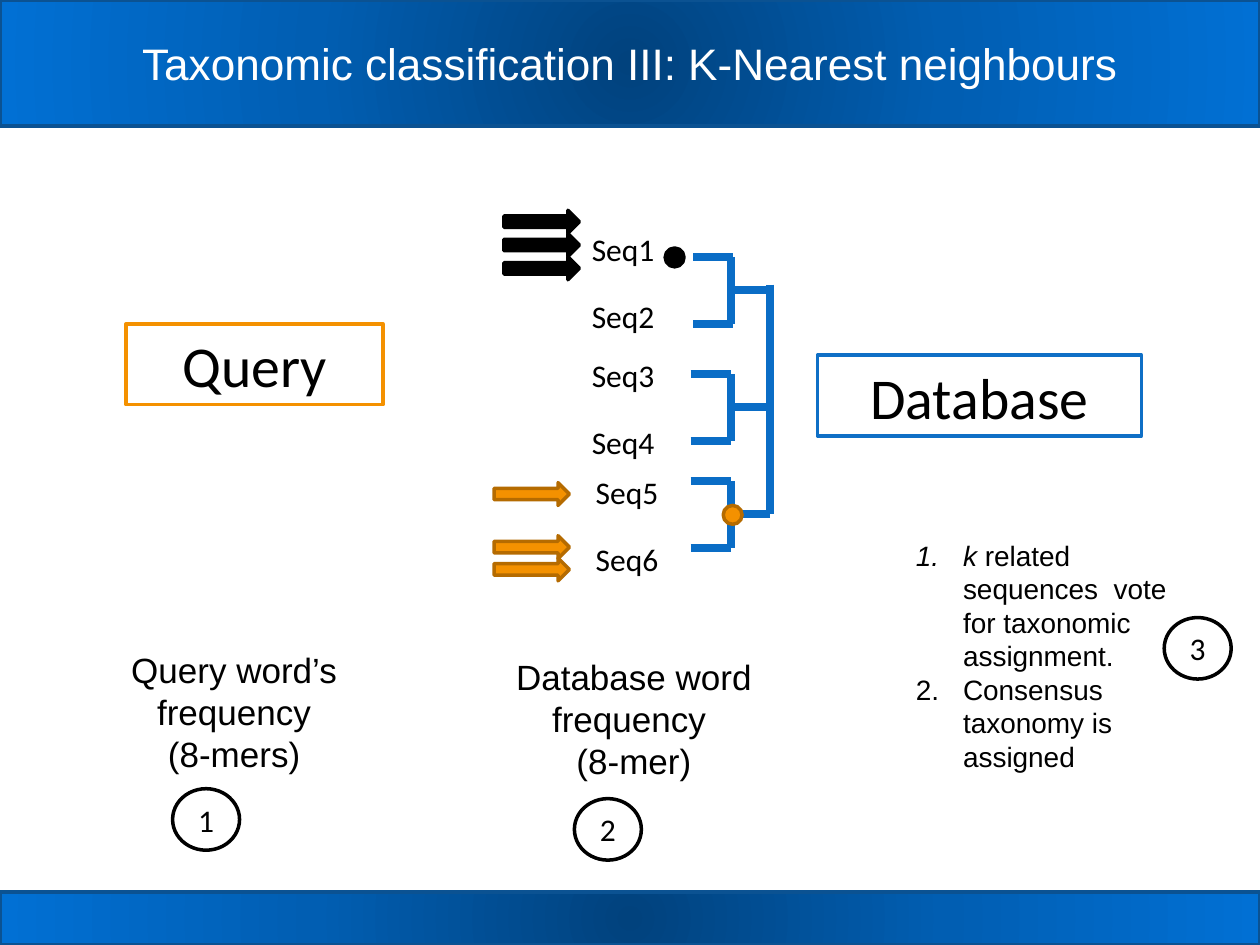
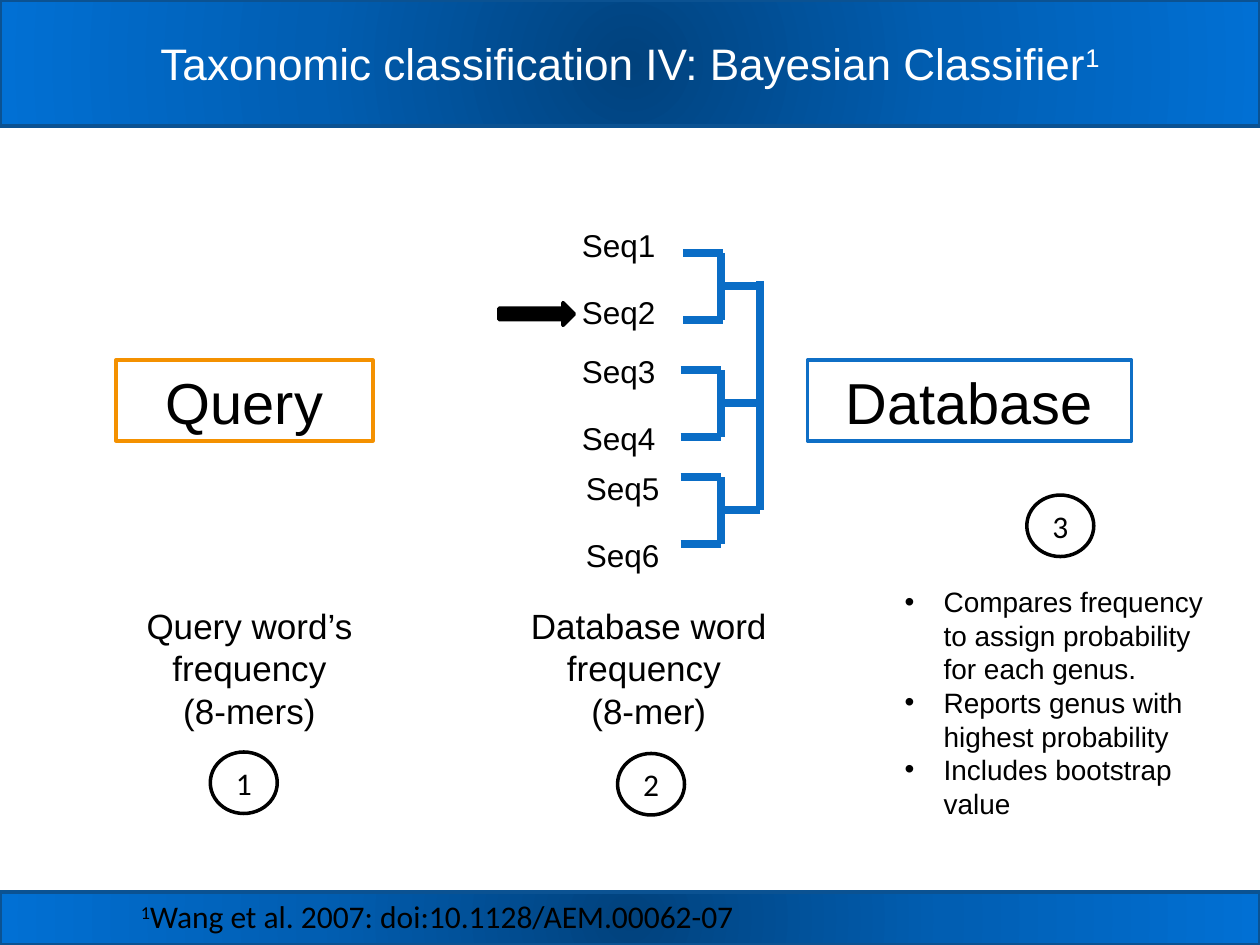
import dataclasses
import typing

import lxml.etree
import pptx
import pptx.dml.color
import pptx.enum.shapes
import pptx.enum.text
import pptx.oxml.ns
import pptx.util

Cm = pptx.util.Cm
Pt = pptx.util.Pt
RGBColor = pptx.dml.color.RGBColor
Kind = pptx.enum.shapes.MSO_SHAPE
Align = pptx.enum.text.PP_ALIGN
Anchor = pptx.enum.text.MSO_ANCHOR
qn = pptx.oxml.ns.qn

BLACK = RGBColor(0x00, 0x00, 0x00)
WHITE = RGBColor(0xFF, 0xFF, 0xFF)
ORANGE = RGBColor(0xF4, 0x91, 0x00)
RUST = RGBColor(0xB5, 0x6B, 0x00)
BLUE = RGBColor(0x0F, 0x6F, 0xC6)
BRANCH = RGBColor(0x0A, 0x6D, 0xC6)
EDGE = RGBColor(0x0B, 0x52, 0x92)
GLOW = ((0, "01427D"), (50, "015EB2"), (100, "0170D4"))


@dataclasses.dataclass(frozen=True)
class Box:
    left: float
    top: float
    width: float
    height: float

    def place(self) -> tuple:
        return Cm(self.left), Cm(self.top), Cm(self.width), Cm(self.height)


@dataclasses.dataclass(frozen=True)
class Look:
    size: float
    face: str = "Arial"
    color: RGBColor = BLACK
    align: typing.Any = Align.CENTER


class Span(typing.NamedTuple):
    text: str
    slant: bool = False
    raised: bool = False


class Fork(typing.NamedTuple):
    tip: float
    top: float
    end: float
    label_x: float
    label_y: float


class Arrow(typing.NamedTuple):
    left: float
    top: float
    fill: RGBColor = BLACK
    line: RGBColor = BLACK


class Spot(typing.NamedTuple):
    left: float
    top: float


class List(typing.NamedTuple):
    box: Box
    items: list
    indent: float
    mark: str
    value: tuple


@dataclasses.dataclass(frozen=True)
class Page:
    title: list
    face: str
    shift: Spot
    query: Spot
    data: Spot
    words: tuple
    steps: tuple
    arrows: list
    dots: list
    points: List
    note: list


FORKS = (
    Fork(13.97, 5.18, 14.78, 11.68, 4.52),
    Fork(13.92, 7.54, 14.73, 11.68, 7.06),
    Fork(13.92, 9.7, 14.73, 11.76, 9.42),
)
STEM, TRUNK, SPREAD, HALF = 14.73, 15.52, 1.35, 0.66
WORDS = (
    [[Span("Query word’s frequency")], [Span("(8-mers)")]],
    [[Span("Database word frequency ")], [Span("(8-mer)")]],
)

PAGES = (
    Page(
        title=[Span("Taxonomic classification III: K-Nearest neighbours")],
        face="Calibri",
        shift=Spot(0, 0),
        query=Spot(2.54, 6.53),
        data=Spot(16.48, 7.16),
        words=(Spot(1.9, 12.95), Spot(9.96, 13.08)),
        steps=(Spot(3.48, 15.9), Spot(11.58, 16.1), Spot(23.47, 12.45)),
        arrows=[Arrow(10.16, 4.24 + 0.47 * row) for row in range(3)]
        + [Arrow(9.96, top, ORANGE, RUST) for top in (9.73, 10.8, 11.25)],
        dots=[Arrow(13.41, 5), Arrow(14.58, 10.19, ORANGE, RUST)],
        points=List(
            Box(18.21, 10.72, 5.92, 5.05),
            [
                [Span("k", slant=True),
                 Span(" related sequences  vote for taxonomic assignment.")],
                [Span("Consensus taxonomy is assigned")],
            ],
            0.95, "a:buAutoNum", ("type", "arabicPeriod"),
        ),
        note=[],
    ),
    Page(
        title=[Span("Taxonomic classification IV: Bayesian Classifier"),
               Span("1", raised=True)],
        face="Arial",
        shift=Spot(-0.2, -0.08),
        query=Spot(2.34, 7.26),
        data=Spot(16.28, 7.26),
        words=(Spot(2.21, 12.07), Spot(10.26, 12.07)),
        steps=(Spot(4.24, 15.16), Spot(12.45, 15.19), Spot(20.7, 9.98)),
        arrows=[Arrow(10.06, 6.1)],
        dots=[],
        points=List(
            Box(17.98, 11.66, 6.78, 5.03),
            [
                [Span("Compares frequency to assign probability for each genus.")],
                [Span("Reports genus with highest probability")],
                [Span("Includes bootstrap value")],
            ],
            0.79, "a:buChar", ("char", "•"),
        ),
        note=[Span("1", raised=True),
              Span("Wang et al. 2007: doi:10.1128/AEM.00062-07")],
    ),
)


def write(frame, lines: list, look: Look, points: List | None = None) -> None:
    for rank, spans in enumerate(lines):
        para = frame.add_paragraph() if rank else frame.paragraphs[0]
        para.alignment = look.align
        if points:
            para.space_before = Pt(0)
            props = para._p.get_or_add_pPr()
            props.set("marL", str(int(Cm(points.indent))))
            props.set("indent", str(-int(Cm(points.indent))))
            lxml.etree.SubElement(props, qn(points.mark)).set(*points.value)
        para.font.size = Pt(look.size)
        para.font.name = look.face
        para.font.color.rgb = look.color
        for span in spans:
            run = para.add_run()
            run.text = span.text
            if span.slant:
                run.font.italic = True
            if span.raised:
                run.font._element.set("baseline", "30000")


def add_form(slide, kind, box: Box, fill: RGBColor, line: RGBColor):
    form = slide.shapes.add_shape(kind, *box.place())
    form.shadow.inherit = False
    form.fill.solid()
    form.fill.fore_color.rgb = fill
    form.line.color.rgb = line
    form.line.width = Pt(2)
    return form


def add_text(slide, box: Box, lines: list, look: Look, wrap: bool = True) -> None:
    frame = slide.shapes.add_textbox(*box.place()).text_frame
    frame.word_wrap = wrap
    write(frame, lines, look)


def add_band(deck, slide, box: Box, rank: int) -> None:
    band = add_form(slide, Kind.RECTANGLE, box, BLUE, EDGE)
    band.fill.gradient()
    grad = band.element.xpath(".//a:gradFill")[0]
    grad.clear()
    stops = lxml.etree.SubElement(grad, qn("a:gsLst"))
    for pos, color in GLOW:
        stop = lxml.etree.SubElement(stops, qn("a:gs"), pos=str(pos * 1000))
        lxml.etree.SubElement(stop, qn("a:srgbClr"), val=color)
    ring = lxml.etree.SubElement(grad, qn("a:path"), path="circle")
    sides = dict.fromkeys("ltrb", "50000")
    lxml.etree.SubElement(ring, qn("a:fillToRect"), **sides)
    band.element.xpath(".//p:cNvPr")[0].set("id", str(90 + rank))
    deck.slide_master.shapes.element.insert(2 + rank, band.element)


def add_box(slide, spot: Spot, width: float, text: str, face: str, line: RGBColor) -> None:
    form = add_form(slide, Kind.RECTANGLE, Box(*spot, width, 1.63), WHITE, line)
    form.text_frame.vertical_anchor = Anchor.TOP
    write(form.text_frame, [[Span(text)]], Look(33, face))


def add_step(slide, spot: Spot, rank: int) -> None:
    form = add_form(slide, Kind.OVAL, Box(*spot, 1.35, 1.24), WHITE, BLACK)
    form.text_frame.vertical_anchor = Anchor.MIDDLE
    write(form.text_frame, [[Span(str(rank))]], Look(18, "Calibri"))


def add_tree(slide, shift: Spot, face: str) -> None:
    def join(x1: float, y1: float, x2: float, y2: float) -> None:
        ends = (x1 + shift.left, y1 + shift.top, x2 + shift.left, y2 + shift.top)
        line = slide.shapes.add_connector(
            pptx.enum.shapes.MSO_CONNECTOR.STRAIGHT, *map(Cm, ends))
        line.line.color.rgb = BRANCH
        line.line.width = Pt(4.5)
        lxml.etree.SubElement(line.element.spPr, qn("a:effectLst"))

    join(TRUNK, 5.74, TRUNK, FORKS[-1].top + HALF)
    for rank, fork in enumerate(FORKS):
        join(STEM, fork.top, STEM, fork.top + SPREAD)
        join(STEM, fork.top + HALF, TRUNK, fork.top + HALF)
        for leaf in range(2):
            drop = leaf * SPREAD
            join(fork.tip, fork.top + drop, fork.end, fork.top + drop)
            box = Box(fork.label_x + shift.left,
                      fork.label_y + drop + shift.top, 2.24, 1.02)
            name = f"Seq{2 * rank + leaf + 1}"
            add_text(slide, box, [[Span(name)]], Look(18, face, align=Align.LEFT))


def fill_slots(slide, page: Page) -> None:
    title, body = slide.shapes.title, slide.placeholders[1]
    title.left, title.top, title.width, title.height = Box(2.54, 0, 20.32, 2.54).place()
    title.text_frame.vertical_anchor = Anchor.MIDDLE
    write(title.text_frame, [page.title], Look(25.2, color=WHITE))
    body.left, body.top, body.width, body.height = page.points.box.place()
    body.text_frame.auto_size = pptx.enum.text.MSO_AUTO_SIZE.NONE
    write(body.text_frame, page.points.items, Look(16, align=Align.LEFT), page.points)


def draw(slide, page: Page) -> None:
    fill_slots(slide, page)
    add_box(slide, page.query, 5.18, "Query", page.face, ORANGE)
    add_box(slide, page.data, 6.53, "Database", page.face, BLUE)
    add_tree(slide, page.shift, page.face)
    for kind, marks, size in ((Kind.RIGHT_ARROW, page.arrows, (1.52, 0.46)),
                              (Kind.OVAL, page.dots, (0.38, 0.38))):
        for mark in marks:
            add_form(slide, kind, Box(mark.left, mark.top, *size), mark.fill, mark.line)
    for spot, lines in zip(page.words, WORDS):
        add_text(slide, Box(*spot, 5.64, 2.79), lines, Look(20))
    for rank, spot in enumerate(page.steps, 1):
        add_step(slide, spot, rank)
    if page.note:
        add_text(slide, Box(2.59, 17.96, 12.57, 0.99), [page.note],
                 Look(18, "Calibri", align=Align.LEFT), wrap=False)


def main() -> None:
    deck = pptx.Presentation()
    deck.slide_width, deck.slide_height = Cm(25.4), Cm(19.05)
    slides = [deck.slides.add_slide(deck.slide_layouts[1]) for _ in PAGES]
    bands = (Box(0, 0, 25.4, 2.54), Box(0, 17.98, 25.4, 1.07))
    for rank, box in enumerate(bands):
        add_band(deck, slides[0], box, rank)
    for slide, page in zip(slides, PAGES):
        draw(slide, page)
    deck.save("out.pptx")


if __name__ == "__main__":
    main()
